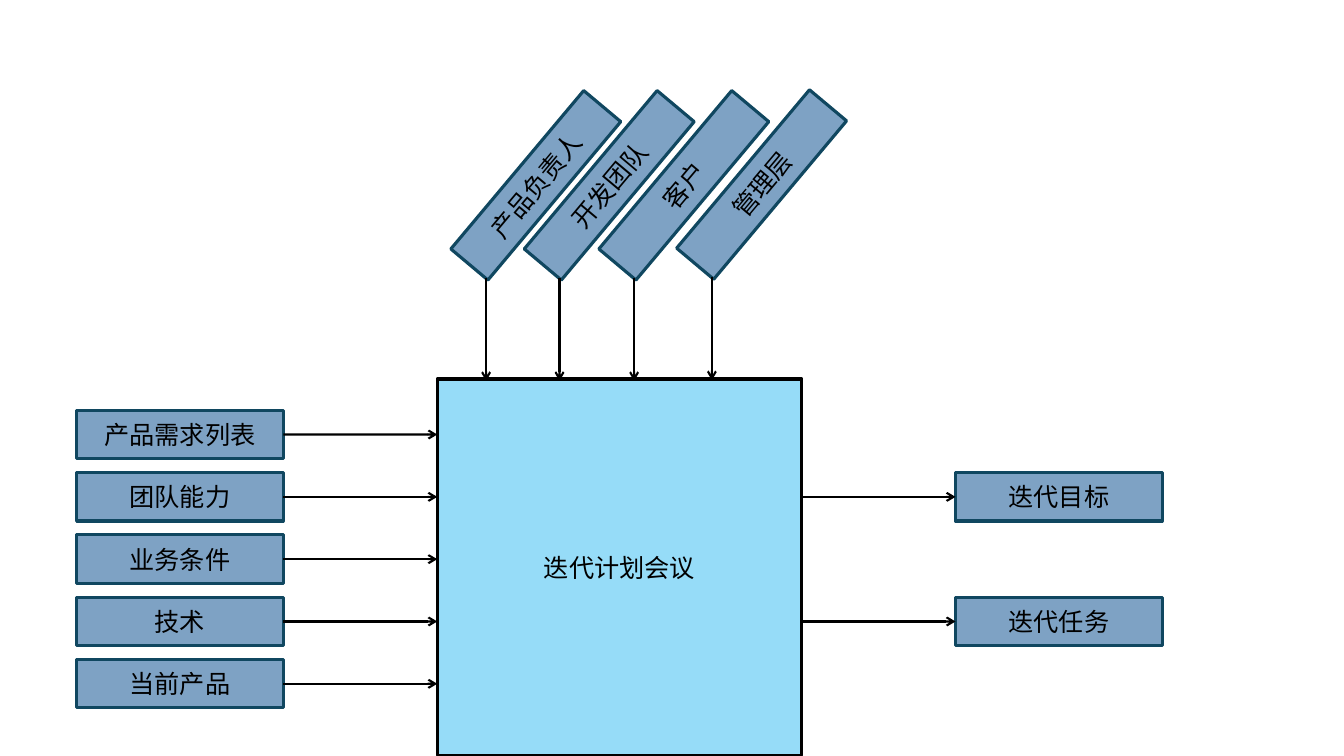
import dataclasses

import pptx
import pptx.dml.color
import pptx.enum.shapes
import pptx.enum.text
import pptx.oxml
import pptx.oxml.ns
import pptx.util

Cm = pptx.util.Cm
Pt = pptx.util.Pt
qn = pptx.oxml.ns.qn
A_NS = pptx.oxml.ns.nsdecls("a")


@dataclasses.dataclass
class Theme:
    font: str = "Noto Sans CJK SC"
    size: float = 18
    ink: str = "000000"
    hub: str = "96DCF8"
    card: str = "215F9A"
    edge: str = "104760"
    alpha: int = 58
    border: float = 2.25
    arrow: float = 1.5


class Board:
    def __init__(self, slide, theme):
        self.slide = slide
        self.theme = theme

    def color(self, code):
        return pptx.dml.color.RGBColor.from_string(code)

    def box(self, text, left, top, width, height, fill, edge):
        """Draw a bordered rectangle with centred text."""
        shape = self.slide.shapes.add_shape(
            pptx.enum.shapes.MSO_SHAPE.RECTANGLE,
            Cm(left), Cm(top), Cm(width), Cm(height))
        shape.shadow.inherit = False
        shape.fill.solid()
        shape.fill.fore_color.rgb = self.color(fill)
        shape.line.color.rgb = self.color(edge)
        shape.line.width = Pt(self.theme.border)
        frame = shape.text_frame
        frame.word_wrap = True
        frame.vertical_anchor = pptx.enum.text.MSO_ANCHOR.MIDDLE
        para = frame.paragraphs[0]
        para.text = text
        para.alignment = pptx.enum.text.PP_ALIGN.CENTER
        font = para.font
        font.size = Pt(self.theme.size)
        font.name = self.theme.font
        font.color.rgb = self.color(self.theme.ink)
        # Chinese text takes the East Asian typeface
        para._p.pPr.find(qn("a:defRPr")).append(pptx.oxml.parse_xml(
            f'<a:ea {A_NS} typeface="{self.theme.font}"/>'))
        return shape

    def card(self, text, left, top, turn=0):
        """Draw a translucent card, turned by some degrees."""
        shape = self.box(text, left, top, CARD_W, CARD_H,
                         self.theme.card, self.theme.edge)
        shape.rotation = turn
        tint = shape._element.spPr.find(qn("a:solidFill"))[0]
        tint.append(pptx.oxml.parse_xml(
            f'<a:alpha {A_NS} val="{self.theme.alpha * 1000}"/>'))
        return shape

    def arrow(self, x1, y1, x2, y2, start=None, end=None):
        """Draw an arrow from a card's right side or to its left side."""
        link = self.slide.shapes.add_connector(
            pptx.enum.shapes.MSO_CONNECTOR.STRAIGHT,
            Cm(x1), Cm(y1), Cm(x2), Cm(y2))
        if start is not None:
            link.begin_connect(start, 3)
        if end is not None:
            link.end_connect(end, 1)
        link.line.color.rgb = self.color(self.theme.ink)
        link.line.width = Pt(self.theme.arrow)
        link.line._get_or_add_ln().append(pptx.oxml.parse_xml(
            f'<a:tailEnd {A_NS} type="arrow"/>'))
        link._element.spPr.append(pptx.oxml.parse_xml(
            f'<a:effectLst {A_NS}/>'))


# Layout in centimetres
CARD_W, CARD_H = 5.21, 1.22
HUB_X, HUB_Y, HUB_W, HUB_H = 11.02, 9.55, 9.19, 9.5
IN_X, OUT_X = 1.93, 24.08
ROW_Y, ROW_STEP = 10.34, 1.57
TURN = 310
TIP_X, TIP_Y, DROP = 1.35, 2.95, 2.59

ROLES = [("产品负责人", 10.9, 4.06), ("开发团队", 12.75, 4.06),
         ("客户", 14.63, 4.06), ("管理层", 16.59, 4.04)]
INPUTS = ["产品需求列表", "团队能力", "业务条件", "技术", "当前产品"]
OUTPUTS = [("迭代目标", 1), ("迭代任务", 3)]


def main():
    deck = pptx.Presentation()
    deck.slide_width, deck.slide_height = Cm(33.87), Cm(19.05)
    theme = Theme()
    board = Board(deck.slides.add_slide(deck.slide_layouts[6]), theme)

    # Meeting in the middle
    board.box("迭代计划会议", HUB_X, HUB_Y, HUB_W, HUB_H,
              theme.hub, theme.ink)

    # People who attend, from above
    for text, left, top in ROLES:
        board.card(text, left, top, TURN)
        x, y = left + TIP_X, top + TIP_Y
        board.arrow(x, y, x, y + DROP)

    # Inputs on the left
    for row, text in enumerate(INPUTS):
        top = ROW_Y + row * ROW_STEP
        mid = top + CARD_H / 2
        card = board.card(text, IN_X, top)
        board.arrow(IN_X + CARD_W, mid, HUB_X, mid, start=card)

    # Results on the right
    for text, row in OUTPUTS:
        top = ROW_Y + row * ROW_STEP
        mid = top + CARD_H / 2
        card = board.card(text, OUT_X, top)
        board.arrow(HUB_X + HUB_W, mid, OUT_X, mid, end=card)

    deck.save("out.pptx")


if __name__ == "__main__":
    main()
